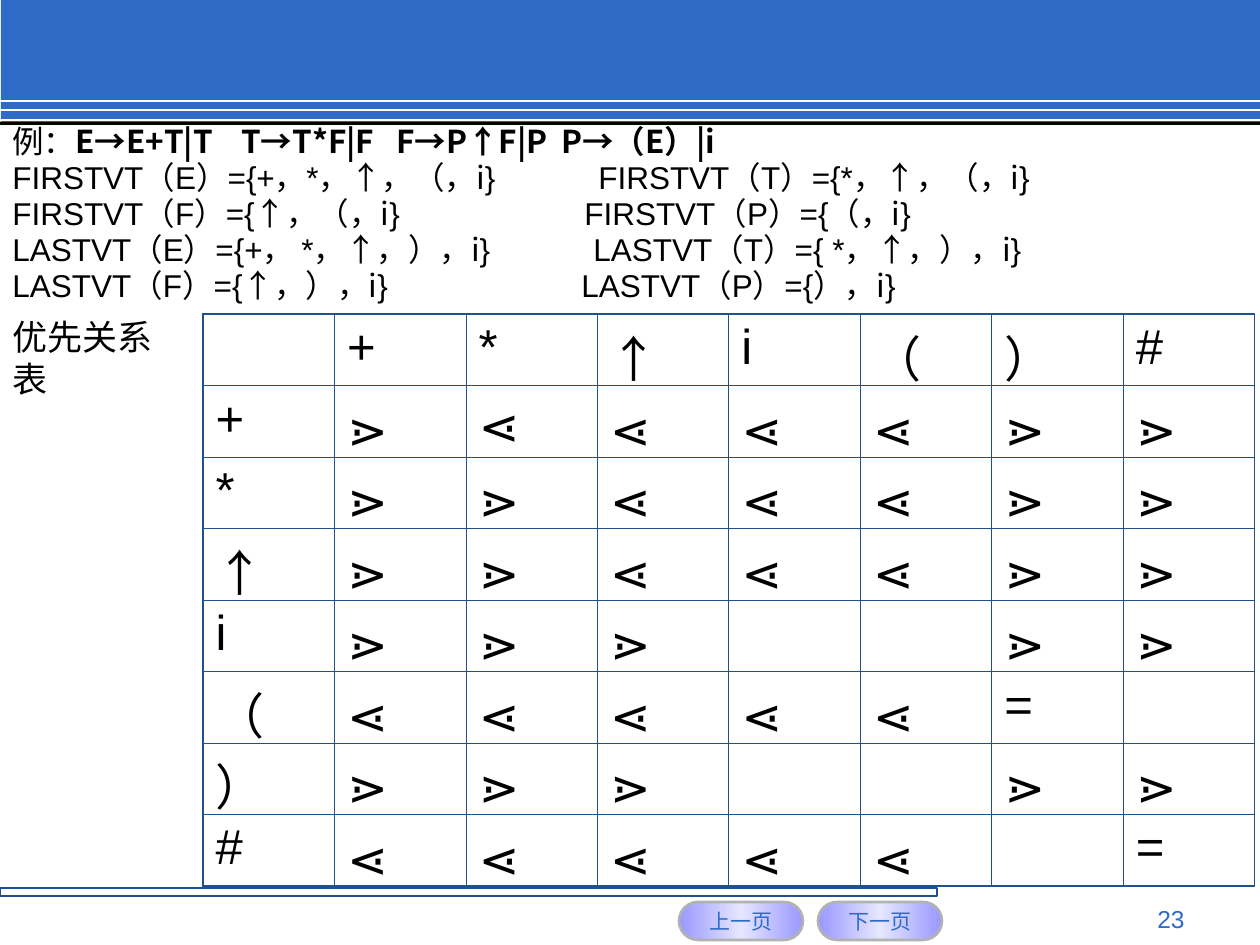
import copy
import pptx
import pptx.util
import pptx.dml.color
import pptx.enum.shapes
import pptx.enum.text
import pptx.oxml.ns
from lxml import etree

ARIAL, CJK, CJK_BOLD, MONO = "Arial", "Noto Sans CJK JP", "Noto Sans CJK SC", "Noto Sans Mono"
THEME = {
    "blue": "2D6BC7", "white": "FFFFFF", "black": "000000", "border": "1D528D",
    "button": ["9999FF", "E6E6FF", "9999FF"], "button_edge": "B2B2B2",
    "button_size": 12, "number_size": 14, "example_size": 18, "label_size": 20, "table_size": 28,
    "thin": 0.45, "thick": 1.08,
}

EXAMPLE = [
    ([229, 384, 549], [("例：", ARIAL), ("E→E+T|T\tT→T*F|F\tF→P↑F|P\tP→（E）|i", CJK_BOLD)]),
    ([586], [("FIRSTVT（E）={+，*，", ARIAL), ("↑，（，i", CJK), ("}\tFIRSTVT（T）={*，", ARIAL),
             ("↑，（，i", CJK), ("}", ARIAL)]),
    ([572], [("FIRSTVT（F）={", ARIAL), ("↑，（，i", CJK), ("}\tFIRSTVT（P）={", ARIAL),
             ("（，i", CJK), ("}", ARIAL)]),
    ([581], [("LASTVT（E）={+， *，", ARIAL), ("↑，），i", CJK), ("}\tLASTVT（T）={ *，", ARIAL),
             ("↑，），i", CJK), ("}", ARIAL)]),
    ([569], [("LASTVT（F）={", ARIAL), ("↑，），i", CJK), ("}\tLASTVT（P）={", ARIAL),
             ("），i", CJK), ("}", ARIAL)]),
]
TABLE_LABEL = "优先关系表"
SYMBOLS = "+*↑i（）#"
RELATIONS = ["⋗⋖⋖⋖⋖⋗⋗", "⋗⋗⋖⋖⋖⋗⋗", "⋗⋗⋖⋖⋖⋗⋗", "⋗⋗⋗  ⋗⋗",
             "⋖⋖⋖⋖⋖= ", "⋗⋗⋗  ⋗⋗", "⋖⋖⋖⋖⋖ ="]
MONO_CELL = (1, 2)
BUTTONS = [("上一页", 679), ("下一页", 818)]
PAGE_NUMBER = "23"
HEADER_LINES = [101, 110, 120]


def px(length):
    return pptx.util.Emu(round(length * 914400 / 126))


def rgb(name):
    return pptx.dml.color.RGBColor.from_string(THEME.get(name, name))


def sub(parent, tag, **attributes):
    return etree.SubElement(parent, pptx.oxml.ns.qn(tag), attributes)


def add_run(paragraph, text, size, color="black", font=ARIAL):
    run = paragraph.add_run()
    run.text = text
    run.font.size = pptx.util.Pt(THEME[size])
    run.font.name = font
    run.font.bold = font == CJK_BOLD
    run.font.color.rgb = rgb(color)
    sub(run.font._element, "a:ea", typeface=CJK_BOLD if font == ARIAL else font)


def add_block(slide, kind, box, fill=None, line=None, width=0.75):
    block = slide.shapes.add_shape(kind, *map(px, box))
    block.shadow.inherit = False
    if fill:
        block.fill.solid()
        block.fill.fore_color.rgb = rgb(fill)
    else:
        block.fill.background()
    if line:
        block.line.color.rgb = rgb(line)
        block.line.width = pptx.util.Pt(width)
    else:
        block.line.fill.background()
    return block


def add_text(slide, box):
    frame = slide.shapes.add_textbox(*map(px, box)).text_frame
    frame.word_wrap = True
    return frame


def add_frame(slide):
    rectangle = pptx.enum.shapes.MSO_SHAPE.RECTANGLE
    add_block(slide, rectangle, (1, 0, 1259, 125), "blue")
    for y in HEADER_LINES:
        rule = slide.shapes.add_connector(pptx.enum.shapes.MSO_CONNECTOR.STRAIGHT,
                                          px(0), px(y), px(1260), px(y))
        rule.line.color.rgb = rgb("white")
        rule.line.width = pptx.util.Pt(1)
        sub(rule._element.spPr, "a:effectLst")
    add_block(slide, rectangle, (0, 122, 1260, 3), "black")
    add_block(slide, rectangle, (0, 888, 937, 8), line="border")


def add_button(slide, caption, left):
    button = add_block(slide, pptx.enum.shapes.MSO_SHAPE.ROUNDED_RECTANGLE,
                       (left, 902, 124, 38), line="button_edge", width=1.5)
    button.adjustments[0] = 0.5
    button.fill.gradient()
    button.fill.gradient_angle = 0
    stops = button._element.spPr.find(".//" + pptx.oxml.ns.qn("a:gsLst"))
    stops.append(copy.deepcopy(stops[0]))
    for stop, color, position in zip(button.fill.gradient_stops, THEME["button"], (0, 0.5, 1)):
        stop.color.rgb = rgb(color)
        stop.position = position
    frame = button.text_frame
    frame.word_wrap = False
    frame.vertical_anchor = pptx.enum.text.MSO_ANCHOR.MIDDLE
    frame.paragraphs[0].alignment = pptx.enum.text.PP_ALIGN.CENTER
    add_run(frame.paragraphs[0], caption, "button_size", "blue")


def add_example(slide):
    frame = add_text(slide, (0, 151, 1260, 163))
    frame.vertical_anchor = pptx.enum.text.MSO_ANCHOR.MIDDLE
    frame.margin_bottom = px(42)
    for index, (stops, runs) in enumerate(EXAMPLE):
        paragraph = frame.add_paragraph() if index else frame.paragraphs[0]
        paragraph.line_spacing = 0.95
        tabs = sub(paragraph._p.get_or_add_pPr(), "a:tabLst")
        for stop in stops:
            sub(tabs, "a:tab", pos=str(px(stop)), algn="l")
        for text, font in runs:
            add_run(paragraph, text, "example_size", font=font)


def set_borders(cell, outer_sides):
    properties = cell._tc.get_or_add_tcPr()
    for index, side in enumerate("LRTB"):
        width = THEME["thick" if side in outer_sides else "thin"]
        edge = sub(properties, "a:ln" + side, w=str(pptx.util.Pt(width)))
        sub(sub(edge, "a:solidFill"), "a:srgbClr", val=THEME["border"])
        properties.insert(index, edge)


def add_relations(slide):
    grid = [" " + SYMBOLS] + [head + row for head, row in zip(SYMBOLS, RELATIONS)]
    count = len(grid)
    table = slide.shapes.add_table(count, count, px(203), px(314), px(1052), px(571)).table
    table.first_row = table.horz_banding = False
    for column in table.columns:
        column.width = px(1052 / count)
    for r, row in enumerate(grid):
        table.rows[r].height = px(571 / count)
        for c, symbol in enumerate(row):
            cell = table.cell(r, c)
            cell.fill.background()
            outer = {"L": c == 0, "R": c == count - 1, "T": r == 0, "B": r == count - 1}
            set_borders(cell, [side for side in outer if outer[side]])
            if symbol != " ":
                font = MONO if (r, c) == MONO_CELL else CJK if symbol in "↑⋖⋗" else ARIAL
                paragraph = cell.text_frame.paragraphs[0]
                paragraph.space_before = pptx.util.Pt(7)
                add_run(paragraph, symbol, "table_size", font=font)


def main():
    deck = pptx.Presentation()
    deck.slide_width, deck.slide_height = px(1260), px(945)
    slide = deck.slides.add_slide(deck.slide_layouts[6])
    add_frame(slide)
    for caption, left in BUTTONS:
        add_button(slide, caption, left)
    number = add_text(slide, (903, 898, 294, 34)).paragraphs[0]
    number.alignment = pptx.enum.text.PP_ALIGN.RIGHT
    add_run(number, PAGE_NUMBER, "number_size", "blue")
    add_example(slide)
    add_relations(slide)
    label = add_text(slide, (0, 309, 200, 55)).paragraphs[0]
    add_run(label, TABLE_LABEL, "label_size")
    deck.save("out.pptx")


if __name__ == "__main__":
    main()
